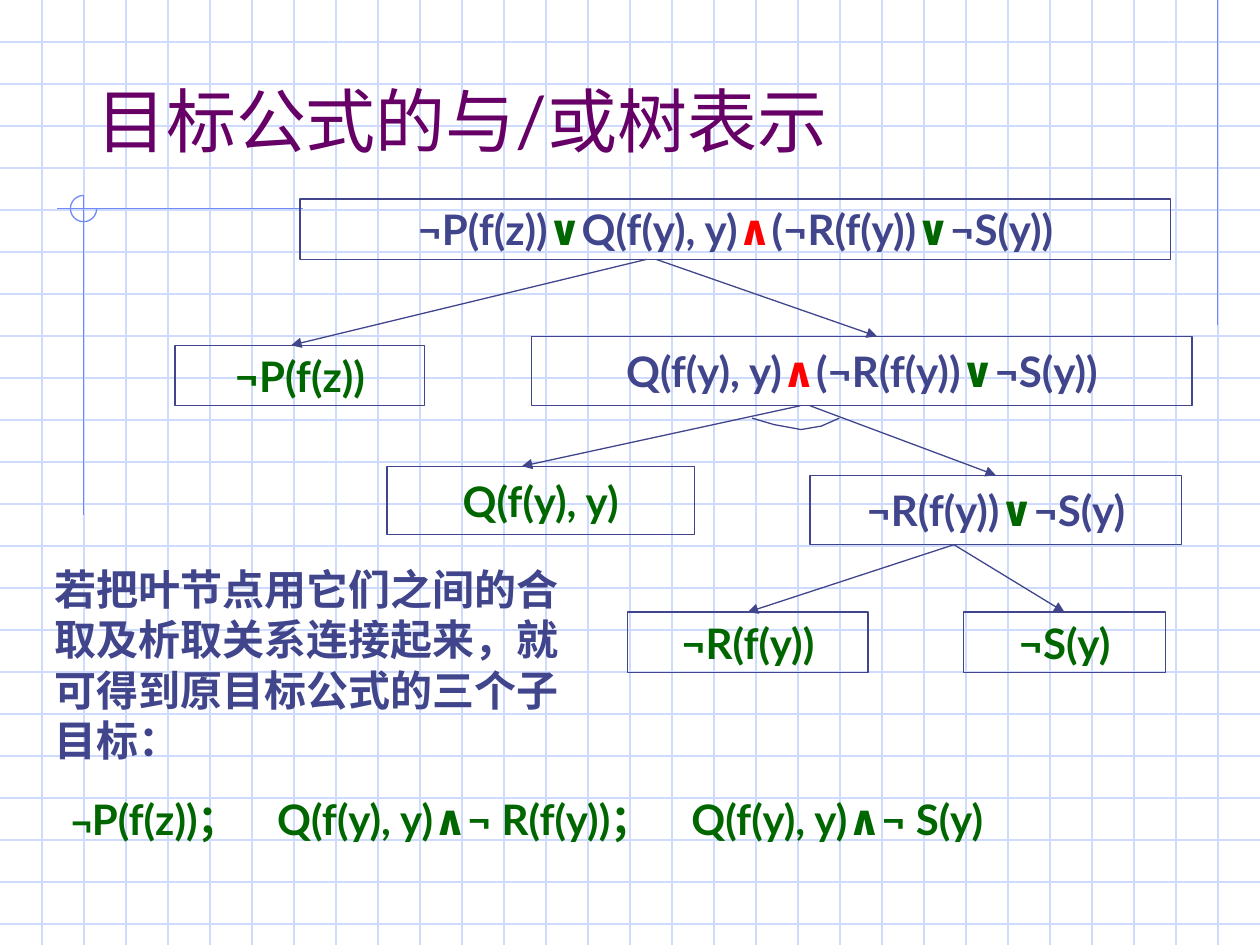
from lxml.etree import SubElement
from pptx import Presentation
from pptx.dml.color import RGBColor
from pptx.enum.shapes import MSO_CONNECTOR, MSO_SHAPE
from pptx.enum.text import MSO_ANCHOR, PP_ALIGN
from pptx.oxml.ns import qn
from pptx.util import Cm, Pt

INDIGO, GREEN, RED, PURPLE = "40458C", "006600", "FF0000", "660066"
GRID_COLOR, GUIDE_COLOR = "CFDBFD", "6F89F7"
GRID_STEP = 2.54 / 3
SYMBOL_COLORS = {"∨": GREEN, "∧": RED}

NODES = {
    "root": (2.52, 0, 17.55, 1.22, ["¬P(f(z))", "∨", "Q(f(y), y)", "∧", "(¬R(f(y))", "∨", "¬S(y))"]),
    "not_p": (0, 2.95, 5.03, 1.22, ["¬P(f(z))"]),
    "conjunction": (7.19, 2.77, 13.31, 1.4, ["Q(f(y), y)", "∧", "(¬R(f(y))", "∨", "¬S(y))"]),
    "q": (4.27, 5.39, 6.2, 1.38, ["Q(f(y), y)"]),
    "disjunction": (12.8, 5.57, 7.49, 1.4, ["¬R(f(y))", "∨", "¬S(y)"]),
    "not_r": (9.12, 8.33, 4.85, 1.22, ["¬R(f(y))"]),
    "not_s": (15.9, 8.33, 4.06, 1.22, ["¬S(y)"]),
}
CENTER = None
EDGES = [
    ("root", 9.5, "not_p", 2.34),
    ("root", 9.7, "conjunction", 14.15),
    ("conjunction", 12.6, "q", 6.99),
    ("conjunction", 12.8, "disjunction", CENTER),
    ("disjunction", 15.7, "not_r", CENTER),
    ("disjunction", 15.7, "not_s", CENTER),
]
AND_ARC = [(11.63, 4.42), (12.07, 4.55), (12.62, 4.65), (13.03, 4.58), (13.39, 4.42)]


def rgb(value):
    """Turn a hex string into a colour."""
    return RGBColor.from_string(value)


def style_outline(shape, color):
    """Give a shape a thin outline with no fill or shadow."""
    shape.shadow.inherit = False
    shape.fill.background()
    shape.line.color.rgb = rgb(color)
    shape.line.width = Pt(0.75)


def set_font(font, name, size, color, bold=False):
    """Set the typeface, size, colour and weight of a font."""
    font.name, font.size, font.bold = name, Pt(size), bold
    font.color.rgb = rgb(color)


def add_line(slide, start, end, color, arrow=False):
    """Draw a thin straight line between two points, with an optional arrowhead."""
    line = slide.shapes.add_connector(
        MSO_CONNECTOR.STRAIGHT, *(Cm(value) for value in (*start, *end)))
    line.line.color.rgb = rgb(color)
    line.line.width = Pt(0.75)
    if arrow:
        SubElement(line.line._get_or_add_ln(), qn("a:tailEnd"), type="triangle")
    SubElement(line._element.spPr, qn("a:effectLst"))
    return line


def add_text_box(slide, box, anchor=MSO_ANCHOR.TOP):
    """Add a wrapping text box and return its first paragraph."""
    frame = slide.shapes.add_textbox(*(Cm(value) for value in box)).text_frame
    frame.word_wrap = True
    frame.vertical_anchor = anchor
    return frame.paragraphs[0]


def add_backdrop(slide, box):
    """Draw the grid and the guide lines."""
    left, top, width, height = box
    right, bottom = left + width, top + height
    for row in range(1, int(height / GRID_STEP) + 1):
        y = top + row * GRID_STEP
        add_line(slide, (left, y), (right, y), GRID_COLOR)
    for column in range(1, int((width - 0.01) / GRID_STEP) + 1):
        x = left + column * GRID_STEP
        add_line(slide, (x, top), (x, bottom), GRID_COLOR)
    for x1, y1, x2, y2 in [(24.55, 0, 24.55, 6.55), (6.1, 4.21, 1.14, 4.21),
                           (1.69, 3.94, 1.69, 10.39)]:
        add_line(slide, (left + x1, top + y1), (left + x2, top + y2), GUIDE_COLOR)
    arc = slide.shapes.add_shape(
        MSO_SHAPE.ARC, Cm(left + 1.42), Cm(top + 3.94), Cm(0.53), Cm(0.53))
    arc.adjustments[0], arc.adjustments[1] = 0, 162
    style_outline(arc, GUIDE_COLOR)


def add_title(slide, box):
    """Write the title at the bottom of its box."""
    paragraph = add_text_box(slide, box, MSO_ANCHOR.BOTTOM)
    paragraph.text = "目标公式的与/或树表示"
    set_font(paragraph.font, "Lato", 40, PURPLE)


def add_node(slide, box, parts):
    """Draw one formula node; a node of a single part is a green leaf."""
    node = slide.shapes.add_shape(MSO_SHAPE.RECTANGLE, *(Cm(value) for value in box))
    style_outline(node, INDIGO)
    frame = node.text_frame
    frame.word_wrap = False
    frame.vertical_anchor = MSO_ANCHOR.MIDDLE
    paragraph = frame.paragraphs[0]
    paragraph.alignment = PP_ALIGN.CENTER
    set_font(paragraph.font, "Lato", 24, GREEN if len(parts) == 1 else INDIGO, True)
    for part in parts:
        run = paragraph.add_run()
        run.text = part
        if part in SYMBOL_COLORS:
            run.font.color.rgb = rgb(SYMBOL_COLORS[part])
        else:
            run.font.color.rgb = paragraph.font.color.rgb


def add_tree(slide, box):
    """Draw the AND/OR tree with its nodes, arrows and AND arc."""
    left, top = box[:2]
    shapes = {}
    for name, (x, y, width, height, parts) in NODES.items():
        add_node(slide, (left + x, top + y, width, height), parts)
        shapes[name] = slide.shapes[-1]
    for parent, start_x, child, end_x in EDGES:
        start_y = NODES[parent][1] + NODES[parent][3]
        child_x, child_y, child_width = NODES[child][:3]
        tip_x = child_x + child_width / 2 if end_x is CENTER else end_x
        edge = add_line(slide, (left + start_x, top + start_y),
                        (left + tip_x, top + child_y), INDIGO, arrow=True)
        if end_x is CENTER:
            edge.end_connect(shapes[child], 0)
    points = [(Cm(left + x), Cm(top + y)) for x, y in AND_ARC]
    builder = slide.shapes.build_freeform(*points[0])
    builder.add_line_segments(points[1:], close=False)
    style_outline(builder.convert_to_shape(), INDIGO)


def add_explanation(slide, box):
    """Write the explanation of the subgoals."""
    paragraph = add_text_box(slide, box)
    paragraph.text = "若把叶节点用它们之间的合取及析取关系连接起来，就可得到原目标公式的三个子目标："
    set_font(paragraph.font, "Arial", 24, INDIGO, True)


def add_subgoals(slide, box):
    """List the three subgoals on one line at tab stops."""
    paragraph = add_text_box(slide, box)
    tabs = SubElement(paragraph._p.get_or_add_pPr(), qn("a:tabLst"))
    for position in (4.15, 12.5):
        SubElement(tabs, qn("a:tab"), pos=str(Cm(position)), algn="l")
    for text, name, size in [
        ("¬", "Arial", 20),
        ("P(f(z))；\tQ(f(y), y)∧¬ R(f(y))；\tQ(f(y), y)∧¬ S(y)", "Lato", 24),
    ]:
        run = paragraph.add_run()
        run.text = text
        set_font(run.font, name, size, GREEN, True)


def main():
    """Build and save the slide."""
    presentation = Presentation()
    presentation.slide_width, presentation.slide_height = Cm(25.4), Cm(19.05)
    slide = presentation.slides.add_slide(presentation.slide_layouts[6])
    add_backdrop(slide, (0, 0, 25.4, 19.05))
    add_title(slide, (1.69, 0.2, 21.6, 3.18))
    add_tree(slide, (3.53, 4.01, 20.5, 9.55))
    add_explanation(slide, (0.85, 11.23, 11, 4.32))
    add_subgoals(slide, (1.19, 15.88, 23.42, 1.27))
    presentation.save("out.pptx")


if __name__ == "__main__":
    main()
